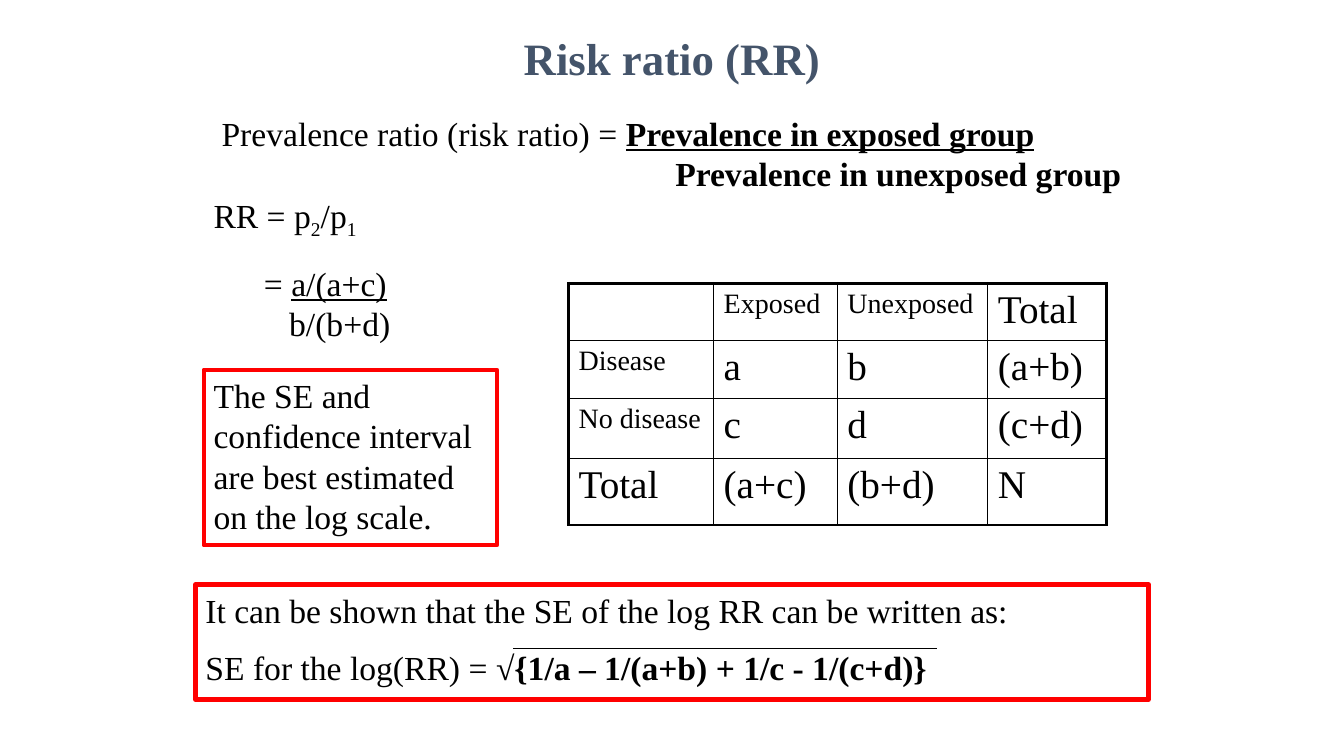
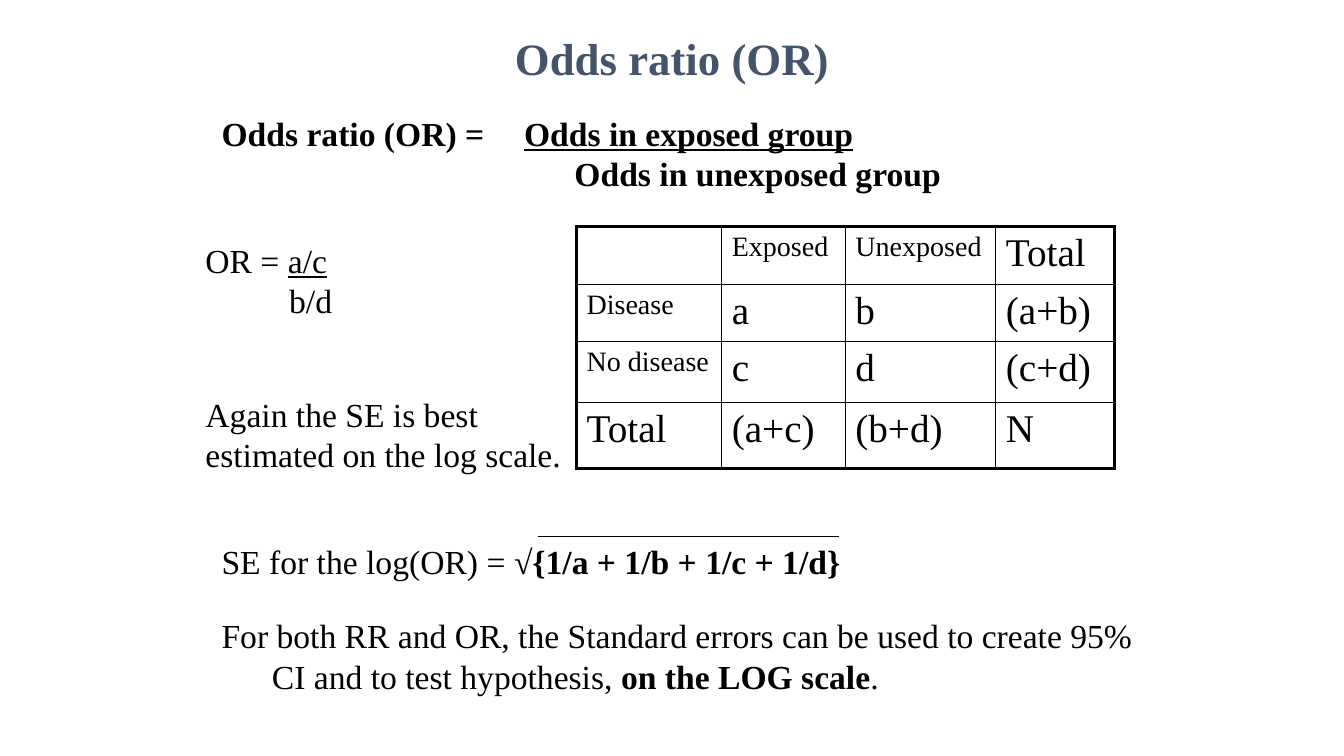
from dataclasses import dataclass

from lxml.etree import SubElement
from pptx import Presentation
from pptx.dml.color import RGBColor
from pptx.enum.shapes import MSO_CONNECTOR, MSO_SHAPE
from pptx.enum.text import MSO_ANCHOR, PP_ALIGN
from pptx.oxml.ns import qn
from pptx.util import Inches, Pt

WIDTH, HEIGHT = Inches(13.33), Inches(7.5)


@dataclass(frozen=True)
class Theme:
    font: str = "Times New Roman"
    ink: str = "000000"
    heading: str = "44546A"
    frame: str = "FF0000"
    title_size: float = 32
    body_size: float = 24
    label_size: float = 20
    cell_size: float = 28
    line_factor: float = 1.2
    thin: float = 1
    thick: float = 2.25


THEME = Theme()
GAP = THEME.body_size / 2
HANGING = {"left": 0.5, "first": -0.5}

# Table columns and rows, in percent of the slide
COLUMNS = (10.8, 9.2, 11.2, 8.85)
ROWS = (7.6, 7.6, 8, 8.8)
COUNTS = (
    ("", "Exposed", "Unexposed", "Total"),
    ("Disease", "a", "b", "(a+b)"),
    ("No disease", "c", "d", "(c+d)"),
    ("Total", "(a+c)", "(b+d)", "N"),
)
LABELS = {"Exposed", "Unexposed", "Disease", "No disease"}


def across(percent):
    return round(WIDTH * percent / 100)


def down(percent):
    return round(HEIGHT * percent / 100)


def area(left, top, width, height):
    return across(left), down(top), across(width), down(height)


# Text
def set_font(font, size, color):
    font.name, font.size = THEME.font, Pt(size)
    font.color.rgb = RGBColor.from_string(color)


def add_spans(para, spans, size=THEME.body_size, color=THEME.ink):
    """Each span is plain text or a pair of text and style words."""
    set_font(para.font, size, color)
    for item in spans:
        text, style = (item, "") if isinstance(item, str) else item
        span = para.add_run()
        span.text = text
        set_font(span.font, size, color)
        span.font.bold = "bold" in style
        span.font.underline = "underline" in style
        if "subscript" in style:
            span.font._element.set("baseline", "-25000")


def set_indent(para, left=0, first=0, tab=None):
    props = para._p.get_or_add_pPr()
    props.set("marL", str(Inches(left)))
    props.set("indent", str(Inches(first)))
    if tab:
        stops = SubElement(props, qn("a:tabLst"))
        SubElement(stops, qn("a:tab"), pos=str(Inches(tab)), algn="l")


def fill_text(box, lines):
    """Each line is its spans, the space before it and its indents."""
    frame = box.text_frame
    frame.word_wrap = True
    frame.vertical_anchor = MSO_ANCHOR.TOP
    for number, (spans, before, indents) in enumerate(lines):
        para = frame.add_paragraph() if number else frame.paragraphs[0]
        para.alignment = PP_ALIGN.LEFT
        para.line_spacing = Pt(THEME.body_size * THEME.line_factor)
        para.space_before = Pt(before)
        set_indent(para, **indents)
        add_spans(para, spans)


def add_text(page, place, lines):
    fill_text(page.shapes.add_textbox(*area(*place)), lines)


def add_framed_text(page, place, lines, weight):
    box = page.shapes.add_shape(MSO_SHAPE.RECTANGLE, *area(*place))
    box.shadow.inherit = False
    box.fill.background()
    box.line.color.rgb = RGBColor.from_string(THEME.frame)
    box.line.width = Pt(weight)
    fill_text(box, lines)


def add_page(deck, title):
    page = deck.slides.add_slide(deck.slide_layouts[6])
    box = page.shapes.add_textbox(*area(18.1, 2.8, 63.8, 9.6))
    box.text_frame.word_wrap = True
    box.text_frame.vertical_anchor = MSO_ANCHOR.MIDDLE
    para = box.text_frame.paragraphs[0]
    para.alignment = PP_ALIGN.CENTER
    add_spans(para, [(title, "bold")], THEME.title_size, THEME.heading)
    return page


# Bar over the square root
def add_root_bar(page, left, right, top):
    bar = page.shapes.add_connector(
        MSO_CONNECTOR.STRAIGHT, across(left), down(top), across(right), down(top))
    bar.line.color.rgb = RGBColor.from_string(THEME.ink)
    bar.line.width = Pt(0.75)
    SubElement(bar._element.spPr, qn("a:effectLst"))


# Two-by-two table
def set_border(cell, side, weight):
    line = SubElement(cell._tc.get_or_add_tcPr(), qn(f"a:ln{side}"), w=str(Pt(weight)))
    fill = SubElement(line, qn("a:solidFill"))
    SubElement(fill, qn("a:srgbClr"), val=THEME.ink)


def add_counts_table(page, left, top):
    last_row, last_column = len(ROWS) - 1, len(COLUMNS) - 1
    table = page.shapes.add_table(
        len(ROWS), len(COLUMNS), *area(left, top, sum(COLUMNS), sum(ROWS))).table
    table.first_row = table.horz_banding = False
    for column, width in zip(table.columns, COLUMNS):
        column.width = across(width)
    for r, (row, height) in enumerate(zip(table.rows, ROWS)):
        row.height = down(height)
        for c, text in enumerate(COUNTS[r]):
            cell = table.cell(r, c)
            edges = {"L": c == 0, "R": c == last_column,
                     "T": r == 0, "B": r == last_row}
            for side, outer in edges.items():
                set_border(cell, side, THEME.thick if outer else THEME.thin)
            cell.fill.background()
            if text:
                size = THEME.label_size if text in LABELS else THEME.cell_size
                add_spans(cell.text_frame.paragraphs[0], [text], size)


# Slides
def build_risk_ratio(deck):
    page = add_page(deck, "Risk ratio (RR)")
    add_text(page, (15.75, 14.27, 71.8, 12.1), [
        (["Prevalence ratio (risk ratio) = ",
          ("Prevalence in exposed group", "bold underline")], 0, HANGING),
        ([("Prevalence in unexposed group", "bold")], 0, {"left": 4.5}),
    ])
    add_counts_table(page, 42.3, 37.47)
    add_root_bar(page, 38.18, 69.7, 85.73)
    add_framed_text(page, (14.55, 77.33, 70.9, 15.2), [
        (["It can be shown that the SE of the log RR can be written as:"], 0, HANGING),
        (["SE for the log(RR) = ",
          ("√{1/a – 1/(a+b) + 1/c - 1/(c+d)}", "bold")], GAP, HANGING),
    ], 3.25)
    add_text(page, (15.15, 25.87, 28.35, 28.3), [
        (["RR = p", ("2", "subscript"), "/p", ("1", "subscript")], 0, {}),
        (["= ", ("a/(a+c)", "underline")], 15.5, {"left": 0.5}),
        (["b/(b+d)"], 0, {"left": 0.75}),
    ])
    add_framed_text(page, (15.15, 48.93, 21.83, 23.2), [
        (["The SE and confidence interval are best estimated on the log scale."], 0, {}),
    ], 3)


def build_odds_ratio(deck):
    page = add_page(deck, "Odds ratio (OR)")
    add_text(page, (15.75, 14.27, 71.8, 12.1), [
        ([("Odds ratio (OR) =\t", "bold"),
          ("Odds in exposed group", "bold underline")], 0, {"tab": 3.5}),
        ([("Odds in unexposed group", "bold")], 0, {"left": 3.5}),
    ])
    add_root_bar(page, 40, 62.4, 70.93)
    add_counts_table(page, 42.9, 30)
    add_text(page, (15.75, 70.93, 71.8, 22.93), [
        (["SE for the log(OR) = ", ("√{1/a + 1/b + 1/c + 1/d}", "bold")], 0, HANGING),
        (["For both RR and OR, the Standard errors can be used to create 95% CI "
          "and to test hypothesis, ", ("on the LOG scale", "bold"), "."],
         2 * GAP, HANGING),
    ])
    add_text(page, (14.55, 31.07, 28.35, 33.6), [
        (["OR = ", ("a/c", "underline")], 0, {}),
        (["b/d"], 0, {"left": 0.83}),
        (["Again the SE is best estimated on the log scale."], 52.5, {}),
    ])


def main():
    deck = Presentation()
    deck.slide_width, deck.slide_height = WIDTH, HEIGHT
    build_risk_ratio(deck)
    build_odds_ratio(deck)
    deck.save("out.pptx")


if __name__ == "__main__":
    main()
